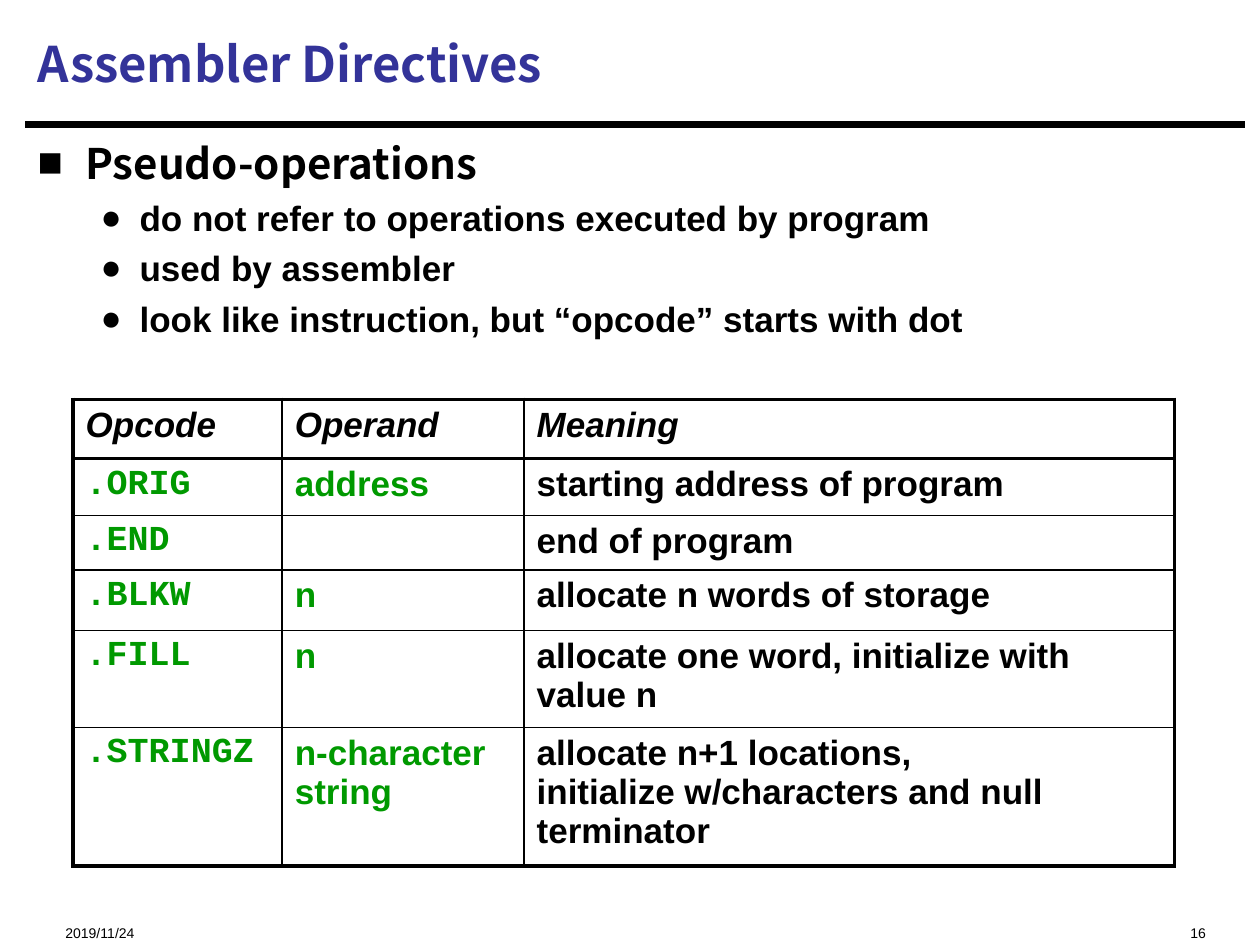
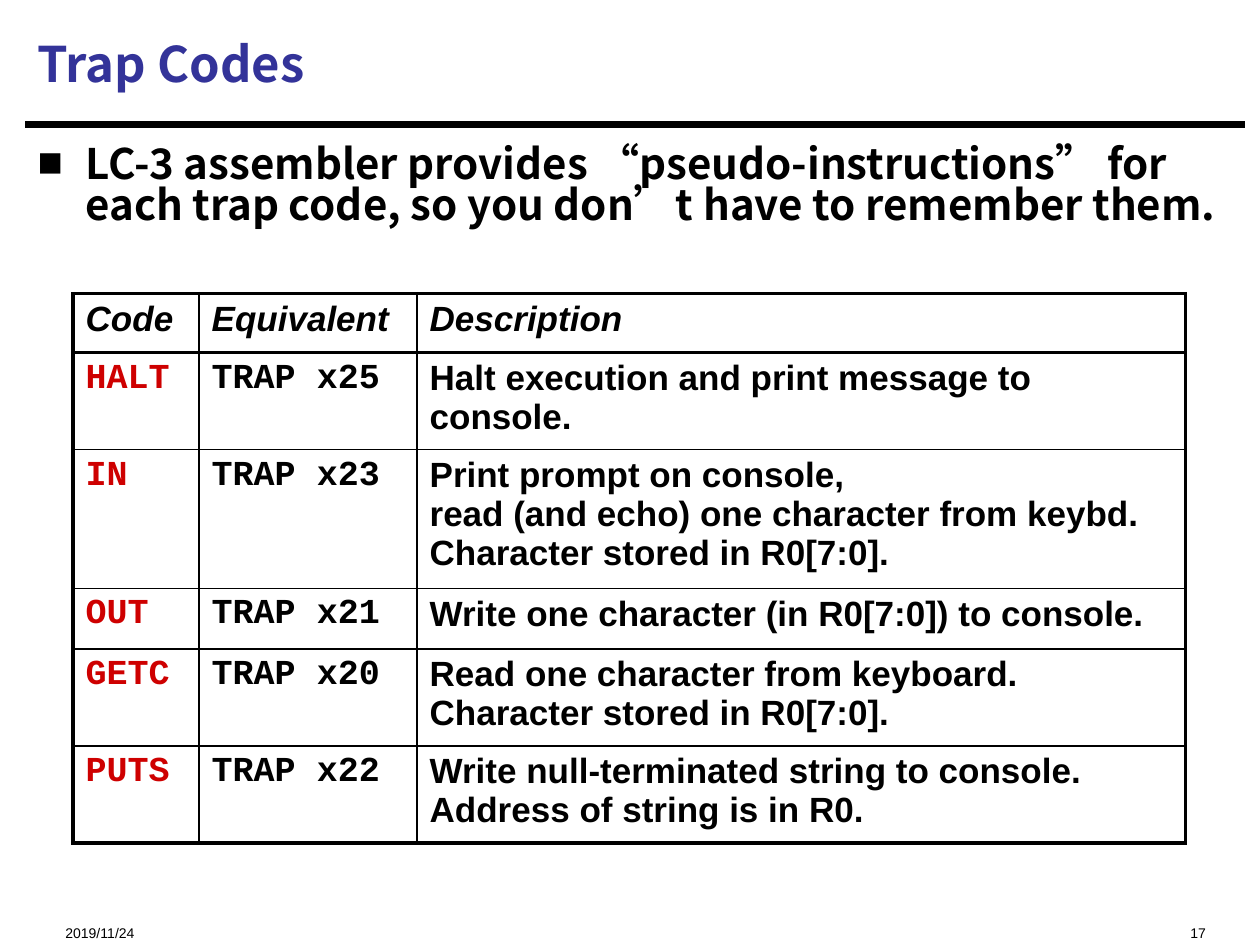
from dataclasses import dataclass

from pptx import Presentation
from pptx.dml.color import RGBColor
from pptx.enum.shapes import MSO_CONNECTOR
from pptx.enum.text import MSO_ANCHOR, MSO_AUTO_SIZE, PP_ALIGN
from pptx.oxml.ns import qn
from pptx.util import Inches, Pt
from lxml.etree import SubElement


@dataclass(frozen=True)
class Theme:
    black: str = "000000"
    title: str = "333399"
    green: str = "009900"
    red: str = "CE0000"
    head_font: str = "Noto Sans CJK SC"
    font: str = "Arial"
    code_font: str = "Courier New"
    title_size: float = 28
    lead_size: float = 24
    text_size: float = 20
    footer_size: float = 8
    rule: float = 3.75
    thick: float = 2.25
    thin: float = 1


T = Theme()
DATE = "2019/11/24"

DIRECTIVES = [
    ("Opcode", "Operand", "Meaning"),
    (".ORIG", "address", "starting address of program"),
    (".END", "", "end of program"),
    (".BLKW", "n", "allocate n words of storage"),
    (".FILL", "n", "allocate one word, initialize with value n"),
    (".STRINGZ", "n-character\nstring",
     "allocate n+1 locations,\ninitialize w/characters and null terminator"),
]
TRAPS = [
    ("Code", "Equivalent", "Description"),
    ("HALT", "TRAP x25", "Halt execution and print message to console."),
    ("IN", "TRAP x23", "Print prompt on console,\nread (and echo) one character "
     "from keybd.\nCharacter stored in R0[7:0]."),
    ("OUT", "TRAP x21", "Write one character (in R0[7:0]) to console."),
    ("GETC", "TRAP x20", "Read one character from keyboard.\nCharacter stored in R0[7:0]."),
    ("PUTS", "TRAP x22", "Write null-terminated string to console.\nAddress of string is in R0."),
]


def add_text(p, text, font, size, color, bold=True, italic=False):
    for i, line in enumerate(text.split("\n")):
        if i:
            p.add_line_break()
        r = p.add_run()
        r.text = line
        f = r.font
        f.name, f.size, f.bold, f.italic = font, Pt(size), bold, italic
        f.color.rgb = RGBColor.from_string(color)
        SubElement(r._r.get_or_add_rPr(), qn("a:ea")).set("typeface", font)


def add_box(s, x, y, w, h):
    tf = s.shapes.add_textbox(Inches(x), Inches(y), Inches(w), Inches(h)).text_frame
    tf.word_wrap = True
    return tf


def add_rule(s):
    line = s.shapes.add_connector(
        MSO_CONNECTOR.STRAIGHT, Inches(0.2), Inches(0.99), Inches(9.88), Inches(0.99))
    line.line.color.rgb = RGBColor.from_string(T.black)
    line.line.width = Pt(T.rule)
    SubElement(line._element.spPr, qn("a:effectLst"))


def add_title(s, text):
    sp = s.shapes.title
    sp.left, sp.top, sp.width, sp.height = map(Inches, (0.2, 0.08, 9.67, 0.84))
    tf = sp.text_frame
    tf.vertical_anchor = MSO_ANCHOR.MIDDLE
    tf.auto_size = MSO_AUTO_SIZE.NONE
    p = tf.paragraphs[0]
    p.alignment = PP_ALIGN.LEFT
    add_text(p, text, T.head_font, T.title_size, T.title)


def add_footer(s, number):
    for x, w, text, align in ((0.42, 2.5, DATE, PP_ALIGN.LEFT),
                              (6.67, 3, str(number), PP_ALIGN.RIGHT)):
        tf = add_box(s, x, 7.27, w, 0.27)
        tf.vertical_anchor = MSO_ANCHOR.MIDDLE
        p = tf.paragraphs[0]
        p.alignment = align
        add_text(p, text, T.font, T.footer_size, T.black, bold=False)


def set_bullet(p, char, margin, hang):
    pPr = p._p.get_or_add_pPr()
    pPr.set("marL", str(Inches(margin)))
    pPr.set("indent", str(-Inches(hang)))
    SubElement(pPr, qn("a:buFont")).set("typeface", T.font)
    SubElement(pPr, qn("a:buChar")).set("char", char)


def add_body(s, height, lead, points=()):
    tf = add_box(s, 0.2, 1.07, 9.67, height)
    tf.margin_top = Inches(0.09)
    p = tf.paragraphs[0]
    p.line_spacing = 0.82
    set_bullet(p, "■", 0.38, 0.38)
    add_text(p, lead, T.head_font, T.lead_size, T.black)
    for point in points:
        p = tf.add_paragraph()
        p.level = 1
        p.space_before = Pt(5)
        set_bullet(p, "●", 0.81, 0.31)
        add_text(p, point, T.font, T.text_size, T.black)


def set_borders(cell, widths):
    tcPr = cell._tc.get_or_add_tcPr()
    for side, width in zip("LRTB", widths):
        ln = SubElement(tcPr, qn(f"a:ln{side}"), w=str(Pt(width)))
        fill = SubElement(ln, qn("a:solidFill"))
        SubElement(fill, qn("a:srgbClr"), val=T.black)


def add_grid(s, top, data, cols, heights, styles):
    shape = s.shapes.add_table(len(data), len(cols), Inches(0.58), Inches(top),
                               Inches(sum(cols)), Inches(sum(heights)))
    table = shape.table
    table.first_row = table.horz_banding = False
    for col, w in zip(table.columns, cols):
        col.width = Inches(w)
    for row, h in zip(table.rows, heights):
        row.height = Inches(h)
    last_row, last_col = len(data) - 1, len(cols) - 1
    for i, values in enumerate(data):
        for j, text in enumerate(values):
            cell = table.cell(i, j)
            thick = (j == 0, j == last_col, i <= 1, i in (0, last_row))
            set_borders(cell, [T.thick if t else T.thin for t in thick])
            cell.fill.background()
            font, color = styles[j] if i else (T.font, T.black)
            if text:
                add_text(cell.text_frame.paragraphs[0], text, font, T.text_size,
                         color, italic=i == 0)


def add_slide(prs, title, number):
    s = prs.slides.add_slide(prs.slide_layouts[5])
    add_rule(s)
    add_footer(s, number)
    add_title(s, title)
    return s


def main():
    prs = Presentation()
    prs.slide_width, prs.slide_height = Inches(10), Inches(7.5)

    s = add_slide(prs, "Assembler Directives", 16)
    add_body(s, 1.97, "Pseudo-operations", (
        "do not refer to operations executed by program",
        "used by assembler",
        "look like instruction, but “opcode” starts with dot",
    ))
    add_grid(s, 3.17, DIRECTIVES, (1.66, 1.92, 5.16),
             (0.47, 0.45, 0.43, 0.48, 0.77, 1.1),
             ((T.code_font, T.green), (T.font, T.green), (T.font, T.black)))

    s = add_slide(prs, "Trap Codes", 17)
    add_body(s, 5.99, "LC-3 assembler provides “pseudo-instructions” for\n"
             "each trap code, so you don’t have to remember them.")
    add_grid(s, 2.33, TRAPS, (1, 1.73, 6.1),
             (0.47, 0.77, 1.1, 0.48, 0.77, 0.77),
             ((T.code_font, T.red), (T.code_font, T.black), (T.font, T.black)))

    prs.save("out.pptx")


if __name__ == "__main__":
    main()
